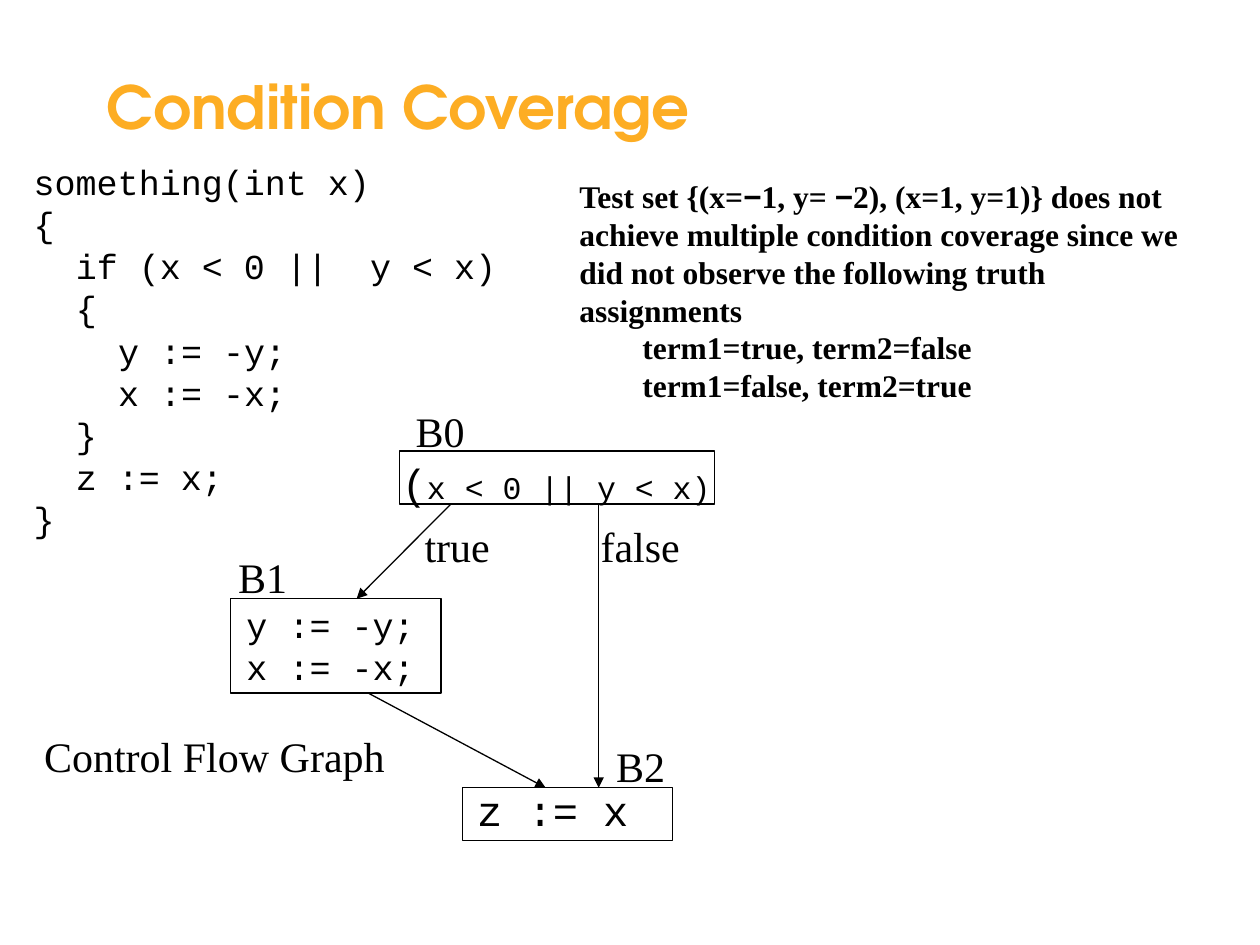
import pptx
import pptx.util
import pptx.dml.color
import pptx.enum.shapes
import pptx.enum.text
import pptx.oxml
import pptx.oxml.ns
from dataclasses import dataclass
from pptx.util import Cm


@dataclass(frozen=True)
class Theme:
    title_color: str = "FDAD23"
    ink: str = "000000"
    title_font: str = "TeX Gyre Adventor"
    code_font: str = "Courier New"
    text_font: str = "Times New Roman"
    symbol_font: str = "Arial"
    title_size: int = 34
    label_size: int = 24
    code_size: int = 20
    note_size: int = 18
    line_width: float = 0.74


theme = Theme()
CODE = dict(name=theme.code_font, size=theme.code_size)
LARGE_CODE = dict(CODE, size=theme.label_size)
SMALL_CODE = dict(CODE, size=theme.note_size)
LABEL = dict(name=theme.text_font, size=theme.label_size)
NOTE = dict(name=theme.text_font, size=theme.note_size, bold=True)
SYMBOL = dict(NOTE, name=theme.symbol_font)
TITLE = dict(name=theme.title_font, size=theme.title_size, bold=True, color=theme.title_color)

CODE_INDENT = 0.85
NOTE_INDENT = 1.27
LABEL_HEIGHT = 1.27

title_text = "Condition Coverage"
title_box = (1.9, 1.07, 21.59, 2.11)

program = [
    (0, "something(int x)"),
    (0, "{"),
    (1, "if (x < 0 ||  y < x)"),
    (1, "{"),
    (2, "y := -y;"),
    (2, "x := -x;"),
    (1, "}"),
    (1, "z := x;"),
    (0, "}"),
]
program_box = (0.43, 3.12, 12.7, 7.87)

note = [
    (0, [("Test set {(x=", NOTE), ("−", SYMBOL), ("1, y= ", NOTE), ("−", SYMBOL),
         ("2), (x=1, y=1)} does not achieve multiple condition coverage since we "
          "did not observe the following truth assignments", NOTE)]),
    (NOTE_INDENT, [("term1=true, term2=false", NOTE)]),
    (NOTE_INDENT, [("term1=false, term2=true", NOTE)]),
]
note_box = (11.43, 3.45, 12.7, 4.83)

nodes = {
    "B0": (8.05, 9.09, 6.35, 1.07),
    "B2": (9.32, 15.88, 4.24, 1.07),
    "B1": (4.65, 12.07, 4.24, 1.9),
}
node_code = [
    ((7.85, 9.09, 6.73, 1.27), [[("(", LARGE_CODE), ("x < 0 || y < x)", SMALL_CODE)]]),
    ((4.72, 12.04, 4.17, 1.98), [[("y := -y;", CODE)], [("x := -x;", CODE)]]),
    ((9.37, 15.7, 3.56, 1.27), [[("z := x", LARGE_CODE)]]),
]
edges = [
    ("B0", 9.09, "B1", 7.19),
    ("B1", 7.42, "B2", 11.0),
    ("B0", 12.07, "B2", 12.07),
]
labels = [
    ("B0", 8.13, 8.05, 1.5),
    ("B1", 4.55, 11.0, 1.5),
    ("B2", 12.17, 14.81, 1.5),
    ("true", 8.31, 10.36, 1.83),
    ("false", 11.86, 10.36, 2.11),
    ("Control Flow Graph", 0.64, 14.6, 7.37),
]


def rgb(value):
    return pptx.dml.color.RGBColor.from_string(value)


def apply_format(font, style):
    values = dict(style)
    font.color.rgb = rgb(values.pop("color", theme.ink))
    values["size"] = pptx.util.Pt(values["size"])
    for name, value in values.items():
        setattr(font, name, value)


def write(frame, paragraphs):
    for index, (indent, runs) in enumerate(paragraphs):
        paragraph = frame.paragraphs[0] if index == 0 else frame.add_paragraph()
        paragraph.alignment = pptx.enum.text.PP_ALIGN.LEFT
        if indent:
            paragraph._p.get_or_add_pPr().set("marL", str(int(Cm(indent))))
        for text, style in runs:
            run = paragraph.add_run()
            run.text = text
            apply_format(run.font, style)


def add_text(slide, box, paragraphs, wrap=False):
    shape = slide.shapes.add_textbox(*map(Cm, box))
    shape.text_frame.word_wrap = wrap
    write(shape.text_frame, paragraphs)


def style_line(line):
    line.color.rgb = rgb(theme.ink)
    line.width = pptx.util.Pt(theme.line_width)


def add_node(slide, box):
    shape = slide.shapes.add_shape(pptx.enum.shapes.MSO_SHAPE.RECTANGLE, *map(Cm, box))
    shape.shadow.inherit = False
    shape.fill.background()
    style_line(shape.line)


def add_edge(slide, source, start_x, target, end_x):
    start_y = nodes[source][1] + nodes[source][3]
    end_y = nodes[target][1]
    connector = slide.shapes.add_connector(
        pptx.enum.shapes.MSO_CONNECTOR.STRAIGHT, *map(Cm, (start_x, start_y, end_x, end_y)))
    style_line(connector.line)
    tail = pptx.oxml.parse_xml(
        '<a:tailEnd %s type="triangle"/>' % pptx.oxml.ns.nsdecls("a"))
    connector.line._get_or_add_ln().append(tail)
    effects = pptx.oxml.parse_xml("<a:effectLst %s/>" % pptx.oxml.ns.nsdecls("a"))
    connector._element.spPr.append(effects)


presentation = pptx.Presentation()
presentation.slide_width, presentation.slide_height = Cm(25.4), Cm(19.05)
slide = presentation.slides.add_slide(presentation.slide_layouts[5])

title = slide.shapes.title
for name, value in zip(("left", "top", "width", "height"), title_box):
    setattr(title, name, Cm(value))
title.text_frame.vertical_anchor = pptx.enum.text.MSO_ANCHOR.MIDDLE
write(title.text_frame, [(0, [(title_text, TITLE)])])

add_text(slide, program_box,
         [(level * CODE_INDENT, [(text, CODE)]) for level, text in program], wrap=True)
for box in nodes.values():
    add_node(slide, box)
for box, lines in node_code:
    add_text(slide, box, [(0, runs) for runs in lines])
for edge in edges:
    add_edge(slide, *edge)
for text, left, top, width in labels:
    add_text(slide, (left, top, width, LABEL_HEIGHT), [(0, [(text, LABEL)])])
add_text(slide, note_box, note, wrap=True)

presentation.save("out.pptx")
